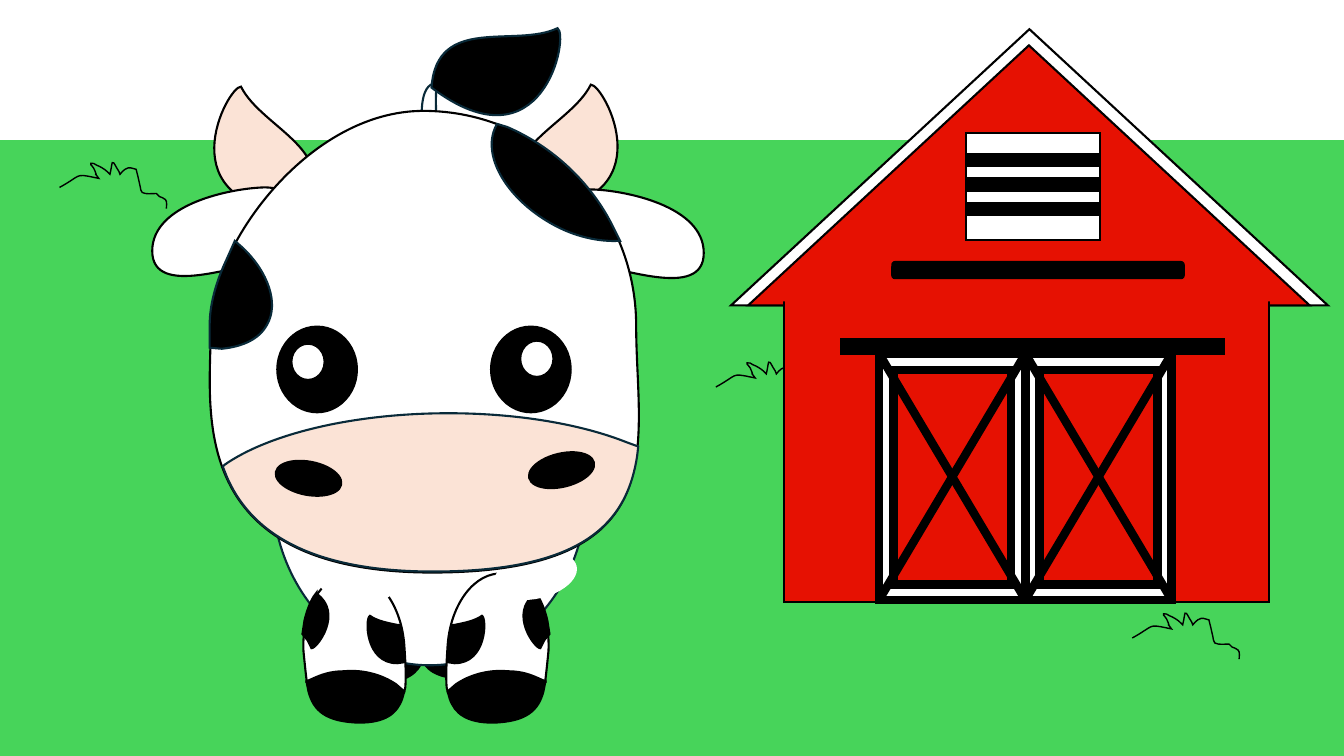
from lxml import etree
from pptx import Presentation
from pptx.dml.color import RGBColor
from pptx.enum.shapes import MSO_CONNECTOR, MSO_SHAPE
from pptx.oxml.ns import qn
from pptx.util import Emu, Pt

PX = 9144  # 100 px to the inch
RECTANGLE = MSO_SHAPE.RECTANGLE
ROUNDED = MSO_SHAPE.ROUNDED_RECTANGLE
ELLIPSE = MSO_SHAPE.OVAL
TRIANGLE = MSO_SHAPE.ISOSCELES_TRIANGLE
STRAIGHT = MSO_CONNECTOR.STRAIGHT

BLACK, WHITE, NAVY = "000000", "FFFFFF", "092A39"
GREEN, RED, PINK = "47D45A", "E61102", "FBE3D6"
CURVE_STEPS = 12

# Outlines: a pair of numbers is a corner, six numbers are a Bezier curve, Z closes.
GRASS = ("0,25 22,13,15,11,34,15 36,15,37,16,39,16 31,5,40,19,34,6 34,4,30,3,31,1 "
         "33,0,35,2,37,3 40,4,45,7,47,9 48,10,49,11,50,12 53,0,51,-5,57,6 "
         "59,8,59,10,60,12 62,10,63,8,65,7 70,4,71,6,76,7 77,10,77,12,78,15 "
         "78,18,80,21,80,24 81,26,80,29,82,30 86,32,91,31,96,31 97,32,98,33,99,34 "
         "101,35,103,35,105,37 107,39,106,44,106,46")
HAIR = "236,177 296,169,247,57,283,52 277,143,320,175,227,189 180,189 236,177 Z"
HAIR_TIP = "278,57 389,141,415,5,403,-2 361,18,283,-16,278,57 Z"
HORN = "375,179 514,174,449,53,436,54 415,96,333,118,375,179 Z"
EAR = ("1,219 1,172,80,157,111,156 141,155,183,182,183,214 183,246,148,229,118,230 "
       "87,231,1,267,1,219 Z")
HEAD = ("59,293 58,217,154,80,270,80 387,80,481,176,481,293 481,411,523,539,275,538 "
        "27,536,60,369,59,293 Z")
MUZZLE = ("295,380 364,380,427,391,472,409 483,413 482,422 472,488,430,538,275,537 "
          "151,536,97,494,75,443 71,433 73,431 116,401,199,380,295,380 Z")
FOREHEAD_PATCH = ("343,93 353,96 397,115,434,149,456,191 465,209 464,209 "
                  "444,210,420,205,397,192 351,166,326,122,343,93 Z")
CHEEK_PATCH = ("83,209 91,216 116,240,127,271,115,292 107,307,90,314,70,316 58,315 "
               "58,306 58,301,58,296,58,292 58,273,64,250,75,227 83,209 Z")
HOOF = ("61,97 71,97,80,99,89,103 98,107 96,117 91,136,79,147,46,148 "
        "20,148,8,139,3,124 1,117 9,110 22,101,41,95,61,97 Z")
LEG = ("56,0 83,2,103,36,101,77 100,87,99,97,98,105 98,107 89,103 80,99,71,97,61,97 "
       "41,95,22,101,9,110 1,117 0,113 -1,101,0,86,1,71 4,30,28,-2,56,0 Z")
OUTER_SPOT = ("88,19 91,23 95,30,98,38,100,47 102,60 97,66 96,69,94,71,93,74 "
              "88,75,61,39,88,20 88,19 Z")
INNER_SPOT = ("35,42 40,44,40,89,8,89 1,88 2,69 3,64,3,59,4,54 5,51 8,51 "
              "18,49,28,47,35,42 Z")
DOOR_FRAME = "0,0 145,0 145,244 0,244 Z 14,16 14,229 131,229 131,16 Z"


def px(length):
    return Emu(round(length * PX))


def color(hex_text):
    return RGBColor.from_string(hex_text)


def format_line(shape, line, width):
    """Give the shape a mitred outline, or none when line is None."""
    if line is None:
        shape.line.fill.background()
        return
    shape.line.color.rgb = color(line)
    shape.line.width = Pt(width)
    outline = shape._element.spPr.find(qn("a:ln"))
    etree.SubElement(outline, qn("a:miter"), lim="800000")


def format_shape(shape, fill, line, width):
    shape.shadow.inherit = False
    if fill is None:
        shape.fill.background()
    else:
        shape.fill.solid()
        shape.fill.fore_color.rgb = color(fill)
    format_line(shape, line, width)


def add_preset(shapes, kind, box, fill, line=BLACK, rotation=0):
    shape = shapes.add_shape(kind, *map(px, box))
    shape.rotation = rotation
    format_shape(shape, fill, line, 1.5)


def contour_segments(contour, left, top, mirror):
    """List the segments of one contour, each a list of one or three points."""
    segments = []
    for token in contour.split():
        numbers = [int(number) for number in token.split(",")]
        segments.append([(px(left + (x if mirror is None else mirror - x)), px(top + y))
                         for x, y in zip(numbers[::2], numbers[1::2])])
    return segments


def flatten(segments):
    """Follow the curves in short steps, which gives the true bounds."""
    points = []
    for segment in segments:
        if len(segment) == 1:
            points += segment
            continue
        controls = [points[-1], *segment]
        for step in range(1, CURVE_STEPS + 1):
            t = step / CURVE_STEPS
            weights = ((1 - t) ** 3, 3 * t * (1 - t) ** 2, 3 * t * t * (1 - t), t ** 3)
            points.append(tuple(sum(weight * control[axis] for weight, control
                                    in zip(weights, controls)) for axis in (0, 1)))
    return points


def write_curves(shape, contours, closed):
    """Replace the short steps of a freeform by its Bezier curves."""
    drawing = shape._element.spPr.find(".//" + qn("a:path"))
    for child in list(drawing):
        drawing.remove(child)
    for segments in contours:
        for index, segment in enumerate(segments):
            tag = "a:cubicBezTo" if len(segment) == 3 else "a:lnTo" if index else "a:moveTo"
            command = etree.SubElement(drawing, qn(tag))
            for x, y in segment:
                etree.SubElement(command, qn("a:pt"),
                                 x=str(x - shape.left), y=str(y - shape.top))
        if closed:
            etree.SubElement(drawing, qn("a:close"))


def add_outline(shapes, outline, left, top, fill, line=BLACK, width=1.5, mirror=None):
    """Draw an outline at left, top; mirror is the width it is flipped within."""
    closed = "Z" in outline
    contours = [contour_segments(contour, left, top, mirror)
                for contour in outline.split("Z") if contour.strip()]
    first, *others = map(flatten, contours)
    builder = shapes.build_freeform(*first[0])
    builder.add_line_segments(first[1:], close=closed)
    for points in others:
        builder.move_to(*points[0])
        builder.add_line_segments(points[1:], close=closed)
    shape = builder.convert_to_shape()
    write_curves(shape, contours, closed)
    format_shape(shape, fill, line, width)


def add_beam(shapes, start, end):
    beam = shapes.add_connector(STRAIGHT, *map(px, (*start, *end)))
    format_line(beam, BLACK, 6)
    etree.SubElement(beam._element.spPr, qn("a:effectLst"))


def draw_meadow(slide):
    add_preset(slide.shapes, RECTANGLE, (0, 139, 1333, 611), GREEN, None)
    for left, top in ((1123, 608), (59, 161), (710, 359)):
        add_outline(slide.shapes, GRASS, left, top, None, width=1)


def draw_leg(shapes, left, top, mirror, spotted=False):
    parts = [(HOOF, BLACK), (LEG, WHITE)]
    if spotted:
        parts += [(OUTER_SPOT, BLACK), (INNER_SPOT, BLACK)]
    for outline, fill in parts:
        add_outline(shapes, outline, left, top, fill, mirror=mirror)


def draw_cow(slide, left, top):
    shapes = slide.shapes.add_group_shape().shapes

    def ellipse(x, y, width, height, fill, line=BLACK, rotation=0):
        add_preset(shapes, ELLIPSE, (left + x, top + y, width, height), fill, line, rotation)

    def outline(outline_text, fill, line=BLACK, drop=0, mirror=None):
        add_outline(shapes, outline_text, left, top + drop, fill, line, mirror=mirror)

    outline(HAIR, WHITE, NAVY)
    outline(HAIR_TIP, BLACK, NAVY)
    draw_leg(shapes, left + 173, top + 499, 100)
    draw_leg(shapes, left + 263, top + 495, None)
    ellipse(120, 281, 312, 349, WHITE, NAVY)
    draw_leg(shapes, left + 293, top + 539, None, spotted=True)
    draw_leg(shapes, left + 152, top + 539, 100, spotted=True)
    ellipse(159, 521, 84, 46, WHITE, None, 12.8)
    ellipse(339, 518, 84, 46, WHITE, None, -12.8)

    outline(HORN, PINK)
    outline(HORN, PINK, drop=2, mirror=525)
    outline(EAR, WHITE)
    outline(EAR, WHITE, drop=2, mirror=549)
    outline(HEAD, WHITE)
    outline(MUZZLE, PINK, NAVY)
    for x in (337, 125):
        ellipse(x, 294, 79, 85, BLACK)
    for x, y in ((139, 311), (366, 308)):
        ellipse(x, y, 33, 36, WHITE)
    for x, y, rotation in ((123, 428, 10.8), (374, 420, -13.5)):
        ellipse(x, y, 66, 33, BLACK, rotation=rotation)
    outline(FOREHEAD_PATCH, BLACK, NAVY)
    outline(CHEEK_PATCH, BLACK, NAVY)


def draw_door(shapes, left, top):
    right, bottom = left + 145, top + 244
    add_outline(shapes, DOOR_FRAME, left, top, WHITE, width=6)
    add_beam(shapes, (right, top), (left, bottom))
    add_beam(shapes, (left, top), (right, bottom))


def draw_barn(slide, left, top):
    shapes = slide.shapes.add_group_shape().shapes

    def block(kind, x, y, width, height, fill, line=BLACK):
        add_preset(shapes, kind, (left + x, top + y, width, height), fill, line)

    block(TRIANGLE, 0, 0, 592, 274, WHITE)
    block(TRIANGLE, 17, 16, 557, 258, RED)
    block(RECTANGLE, 53, 264, 481, 304, RED)
    block(RECTANGLE, 109, 307, 380, 15, BLACK)
    for x in (147, 292):
        draw_door(shapes, left + x, top + 322)
    block(ROUNDED, 160, 231, 289, 16, BLACK)
    block(RECTANGLE, 233, 103, 133, 106, WHITE)
    for slat in range(3):
        block(RECTANGLE, 233, 124 + 24 * slat, 133, 12, BLACK)
    block(ROUNDED, 49, 254, 490, 16, RED, None)


def main():
    presentation = Presentation()
    presentation.slide_width, presentation.slide_height = px(1333), px(750)
    slide = presentation.slides.add_slide(presentation.slide_layouts[6])
    draw_meadow(slide)
    draw_cow(slide, 150, 30)
    draw_barn(slide, 725, 29)
    presentation.save("out.pptx")


if __name__ == "__main__":
    main()
